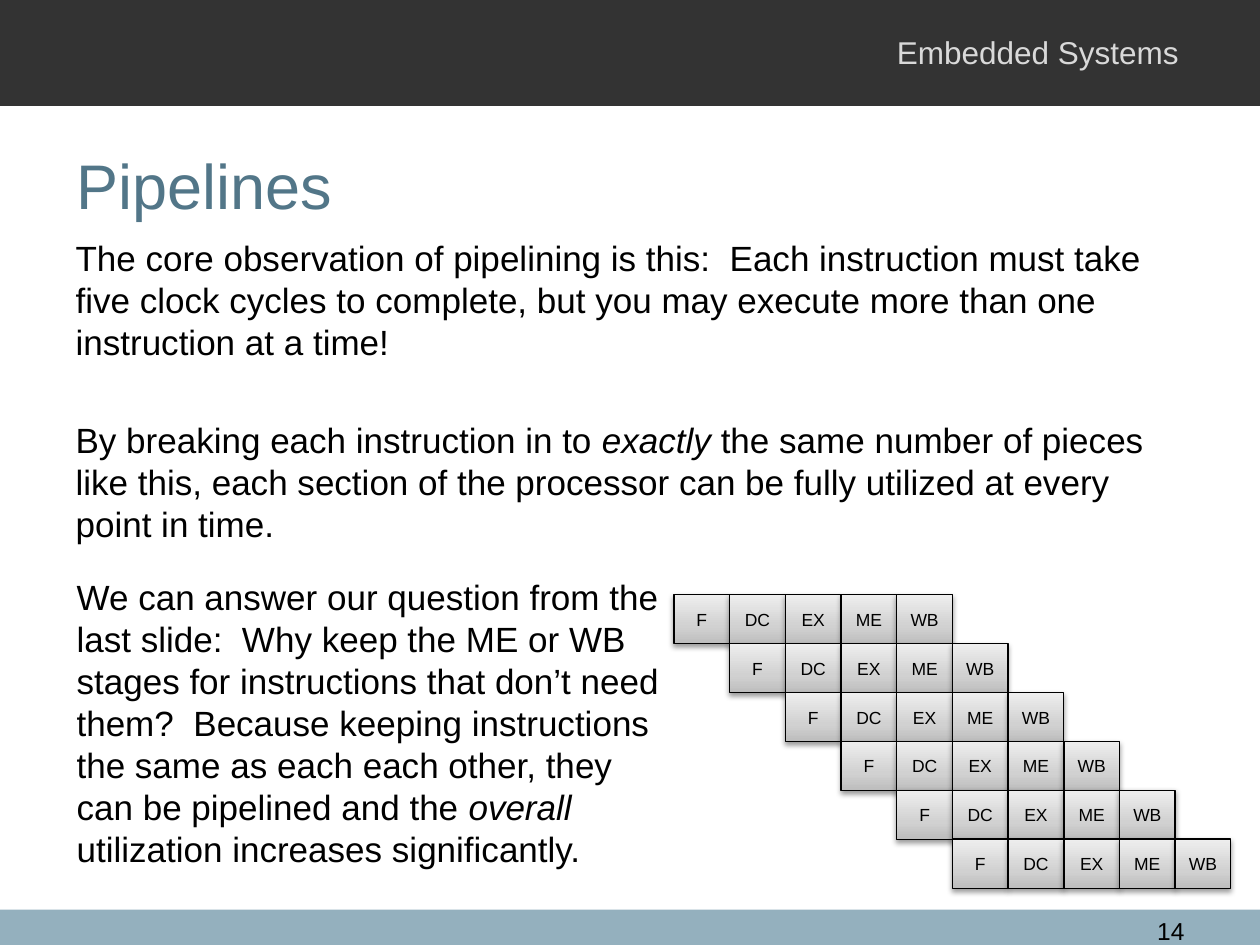
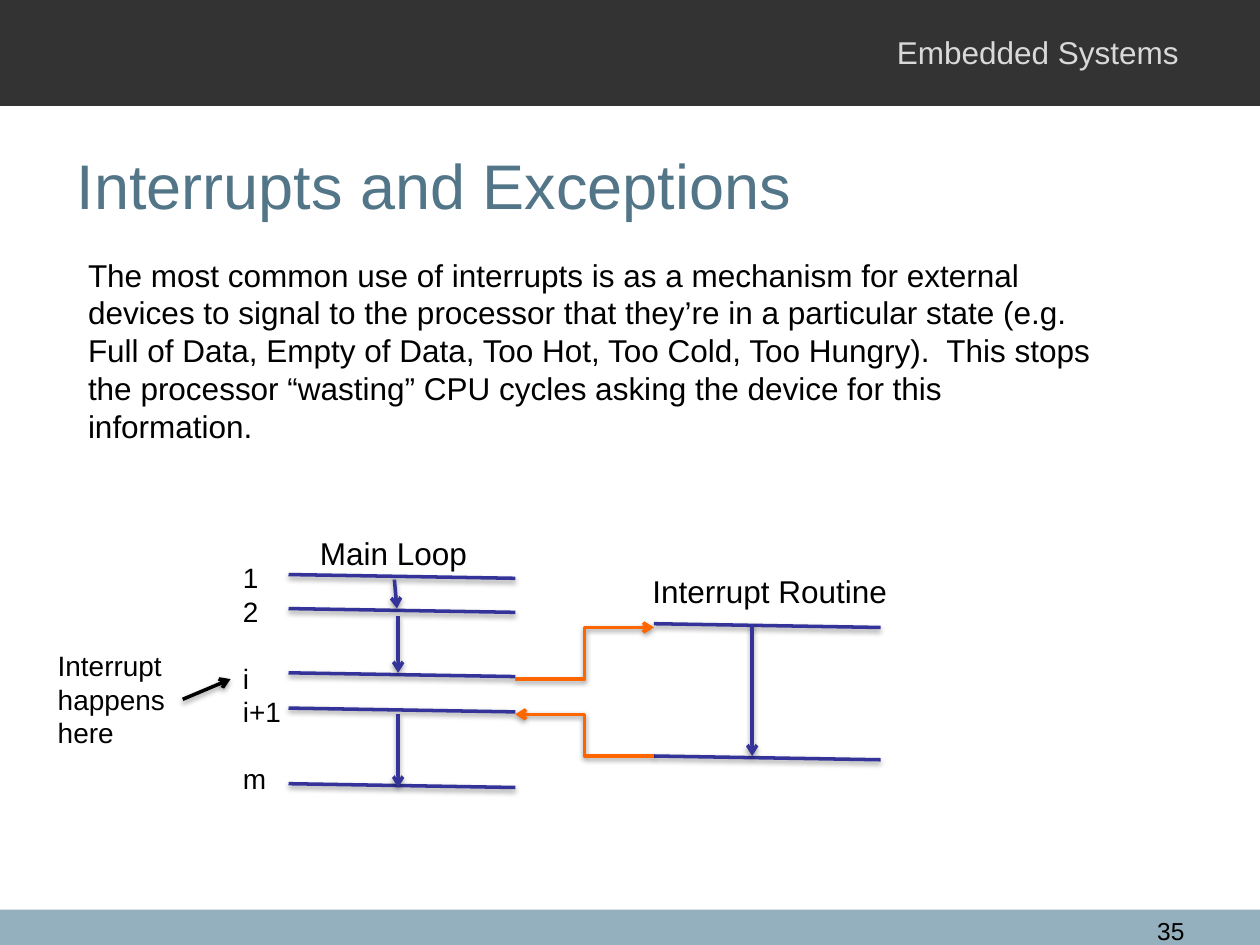
from pptx import Presentation
from pptx.dml.color import RGBColor
from pptx.enum import shapes as sh, text as tx
from pptx.oxml import parse_xml
from pptx.oxml.ns import nsdecls, qn
from pptx.util import Inches, Pt

FONT = "Arial"
BLACK = RGBColor(0, 0, 0)
DARK = RGBColor(0x33, 0x33, 0x33)
PALE = RGBColor(0xD9, 0xD9, 0xD9)
STEEL = RGBColor(0x52, 0x76, 0x88)
MIST = RGBColor(0x94, 0xB0, 0xBE)
NAVY = RGBColor(0x33, 0x33, 0x99)
ORANGE = RGBColor(0xFF, 0x66, 0x00)
SHADES = [(0, "BDBDBD"), (35, "D1D1D1"), (100, "EEEEEE")]

# Content: *stars* mark italics
COURSE = "Embedded Systems"
POINTS = [
    "The core observation of pipelining is this:  Each instruction must take "
    "five clock cycles to complete, but you may execute more than one "
    "instruction at a time!",
    "By breaking each instruction in to *exactly* the same number of pieces "
    "like this, each section of the processor can be fully utilized at every "
    "point in time.",
]
ANSWER = (
    "We can answer our question from the last slide:  Why keep the ME or WB "
    "stages for instructions that don’t need them?  Because keeping "
    "instructions the same as each each other, they can be pipelined and the "
    "*overall* utilization increases significantly.")
STAGES = ["F", "DC", "EX", "ME", "WB"]
ROWS = 6

USES = (
    "The most common use of interrupts is as a mechanism for external devices "
    "to signal to the processor that they’re in a particular state (e.g. Full "
    "of Data, Empty of Data, Too Hot, Too Cold, Too Hungry).  This stops the "
    "processor “wasting” CPU cycles asking the device for this information.")
STEPS = ["1", "2", "i", "i+1", "m"]
STEP_GAPS = {2: 19.15, 4: 19.15}  # points before the steps that follow a jump
LABELS = [  # text, box, size, wrap
    (USES, (0.6, 1.98, 8.25, 1.62), 18, True),
    ("Main Loop", (2.44, 4.19, 1.38, 0.4), 18, False),
    ("Interrupt Routine", (5.08, 4.49, 2.08, 0.4), 18, False),
    ("Interrupt happens here", (0.36, 5.1, 1.09, 0.91), 16, True),
]
MAIN_X, SUB_X, BAR = 2.29, 5.19, 1.8
BARS = [(MAIN_X, y) for y in (4.56, 4.83, 5.34, 5.62, 6.22)]
BARS += [(SUB_X, y) for y in (4.95, 6)]
ARROWS = [  # start, end, colour, bent
    ((3.13, 4.6), (3.15, 4.83), NAVY, False),
    ((3.16, 4.89), (3.16, 5.34), NAVY, False),
    ((3.16, 5.67), (3.16, 6.25), NAVY, False),
    ((5.97, 4.95), (5.97, 6), NAVY, False),
    ((4.09, 5.39), (SUB_X, 4.98), ORANGE, True),
    ((SUB_X, 6), (4.09, 5.67), ORANGE, True),
    ((1.45, 5.55), (1.83, 5.39), BLACK, False),
]


def write(frame, lines, size=18, color=BLACK, align=tx.PP_ALIGN.LEFT,
          anchor=tx.MSO_ANCHOR.TOP, wrap=True, grow=False, gaps=None):
    """Fill a text frame with one paragraph per line."""
    frame.word_wrap = wrap
    frame.vertical_anchor = anchor
    fit = tx.MSO_AUTO_SIZE
    frame.auto_size = fit.SHAPE_TO_FIT_TEXT if grow else fit.NONE
    for n, line in enumerate([lines] if isinstance(lines, str) else lines):
        par = frame.add_paragraph() if n else frame.paragraphs[0]
        par.alignment = align
        if gaps and n in gaps:
            par.space_before = Pt(gaps[n])
        for k, part in enumerate(line.split("*")):
            run = par.add_run()
            run.text = part
            font = run.font
            font.name, font.size = FONT, Pt(size)
            font.color.rgb = color
            if k % 2:
                font.italic = True


def place(shape, box):
    """Move and size a shape, in inches."""
    shape.left, shape.top, shape.width, shape.height = map(Inches, box)


def label(slide, lines, box, **form):
    """Add a text box."""
    write(slide.shapes.add_textbox(*map(Inches, box)).text_frame, lines, **form)


def shade(shape):
    """Give a shape the soft shadow of the diagrams."""
    shape._element.spPr.append(parse_xml(
        f'<a:effectLst {nsdecls("a")}><a:outerShdw blurRad="39370" '
        'dist="20320" dir="5400000" rotWithShape="0"><a:srgbClr val="000000">'
        '<a:alpha val="38000"/></a:srgbClr></a:outerShdw></a:effectLst>'))


def band(slide, top, height, color):
    """Add a full-width band."""
    bar = slide.shapes.add_shape(
        sh.MSO_SHAPE.RECTANGLE, 0, Inches(top), Inches(10), Inches(height))
    bar.shadow.inherit = False
    bar.fill.solid()
    bar.fill.fore_color.rgb = color
    bar.line.fill.background()


def start(deck, layout, title, number):
    """Add a slide with its bands, title and number."""
    slide = deck.slides.add_slide(deck.slide_layouts[layout])
    band(slide, 7.22, 0.28, MIST)
    band(slide, 0, 0.84, DARK)
    label(slide, COURSE, (7.02, 0.21, 2.5, 0.4), color=PALE, grow=True)
    place(slide.shapes.title, (0.51, 0.84, 9, 1.25))
    write(slide.shapes.title.text_frame, title, size=36, color=STEEL,
          anchor=tx.MSO_ANCHOR.MIDDLE)
    label(slide, str(number), (8.86, 7.22, 0.64, 0.24), size=14,
          align=tx.PP_ALIGN.RIGHT)
    return slide


def cell(group, name, left, top):
    """Add one pipeline stage."""
    box = group.shapes.add_shape(
        sh.MSO_SHAPE.RECTANGLE, *map(Inches, (left, top, 0.44, 0.39)))
    stops = "".join(f'<a:gs pos="{pos * 1000}"><a:srgbClr val="{hue}"/></a:gs>'
                    for pos, hue in SHADES)
    box._element.spPr.insert(2, parse_xml(
        f'<a:gradFill {nsdecls("a")} rotWithShape="1"><a:gsLst>{stops}'
        '</a:gsLst><a:lin ang="16200000" scaled="0"/></a:gradFill>'))
    box.line.color.rgb = BLACK
    box.line.width = Pt(0.75)
    shade(box)
    write(box.text_frame, name, size=10, align=tx.PP_ALIGN.CENTER,
          anchor=tx.MSO_ANCHOR.MIDDLE, wrap=False)


def link(slide, head, tail, color=NAVY, bent=False, arrow=False):
    """Draw a line or arrow between two points."""
    kind = sh.MSO_CONNECTOR.ELBOW if bent else sh.MSO_CONNECTOR.STRAIGHT
    line = slide.shapes.add_connector(kind, *map(Inches, head + tail))
    line.line.color.rgb = color
    line.line.width = Pt(2)
    if arrow:
        line._element.spPr.find(qn("a:ln")).append(
            parse_xml(f'<a:tailEnd {nsdecls("a")} type="arrow"/>'))
    shade(line)


def pipes(deck):
    """Build the pipeline slide."""
    slide = start(deck, 1, "Pipelines", 14)
    body = slide.placeholders[1]
    place(body, (0.5, 1.83, 9, 2.86))
    write(body.text_frame, POINTS, size=20, gaps={1: 32})
    for par in body.text_frame.paragraphs:
        props = par._p.get_or_add_pPr()
        props.set("marL", "0")
        props.set("indent", "0")
        props.append(parse_xml(f'<a:buNone {nsdecls("a")}/>'))
    for row in range(ROWS):
        group = slide.shapes.add_group_shape()
        for col, name in enumerate(STAGES):
            cell(group, name, 5.35 + 0.442 * (row + col), 4.72 + 0.388 * row)
    label(slide, ANSWER, (0.51, 4.52, 4.84, 2.46), size=20, grow=True)


def breaks(deck):
    """Build the interrupt slide."""
    slide = start(deck, 5, "Interrupts and Exceptions", 35)
    for words, box, size, wrap in LABELS:
        label(slide, words, box, size=size, wrap=wrap, grow=True)
    label(slide, STEPS, (1.83, 4.4, 0.51, 1.99), size=16, wrap=False,
          grow=True, gaps=STEP_GAPS)
    for x, y in BARS:
        link(slide, (x, y), (x + BAR, y + 0.03))
    for head, tail, color, bent in ARROWS:
        link(slide, head, tail, color, bent, arrow=True)


deck = Presentation()
deck.slide_width, deck.slide_height = Inches(10), Inches(7.5)
pipes(deck)
breaks(deck)
deck.save("out.pptx")
